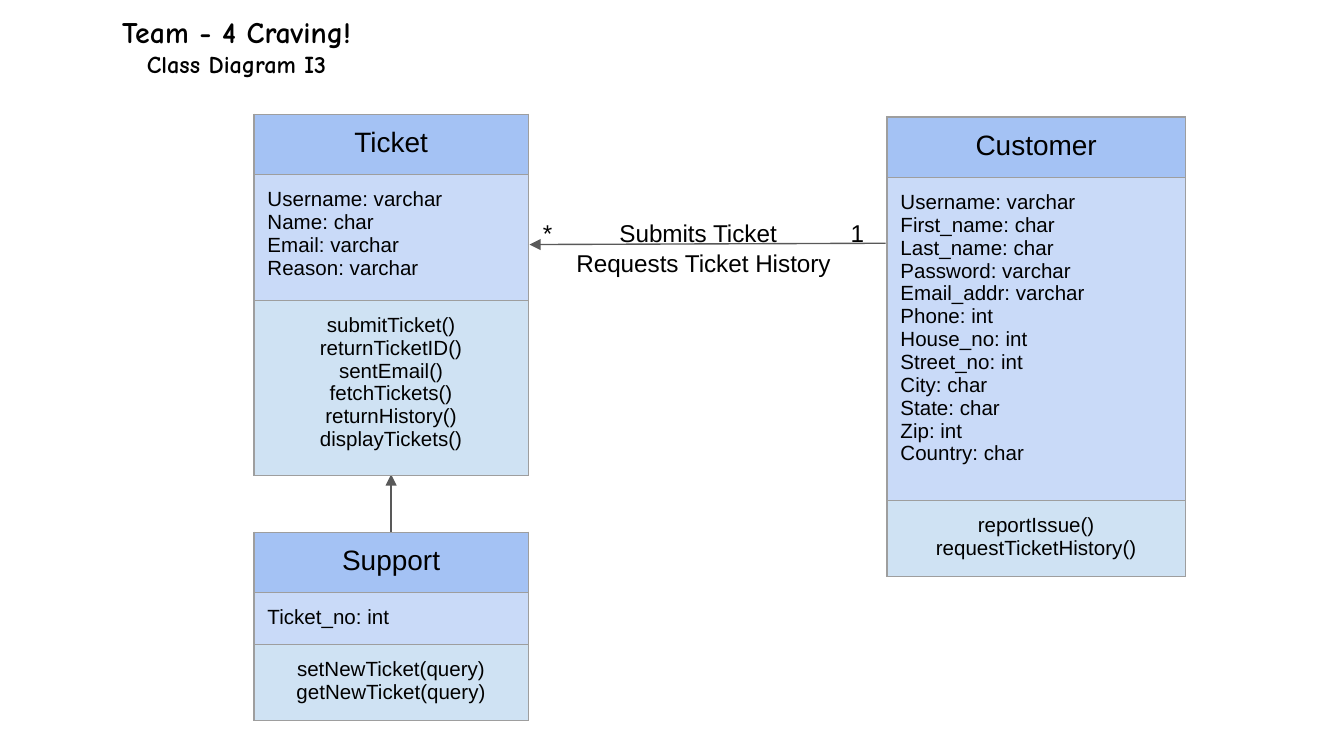
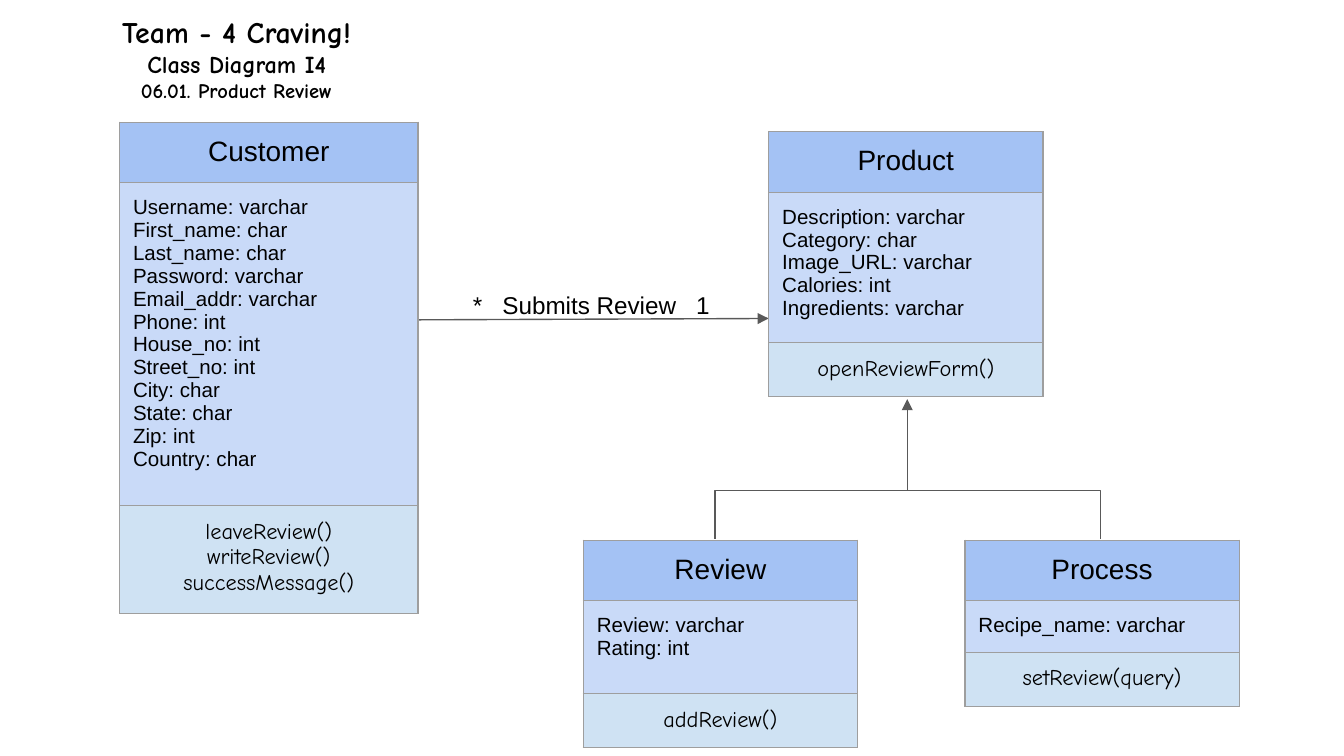
from lxml.etree import SubElement
from pptx import Presentation
from pptx.dml.color import RGBColor
from pptx.enum.shapes import MSO_CONNECTOR
from pptx.enum.text import PP_ALIGN
from pptx.oxml import parse_xml
from pptx.oxml.ns import nsdecls, qn
from pptx.util import Inches, Pt

BLACK = RGBColor(0x00, 0x00, 0x00)
LINE_GREY = RGBColor(0x59, 0x59, 0x59)
BORDER_GREY = RGBColor(0x9E, 0x9E, 0x9E)
HEADER_BLUE = RGBColor(0xA4, 0xC2, 0xF4)
ATTRIBUTE_BLUE = RGBColor(0xC9, 0xDA, 0xF8)
METHOD_BLUE = RGBColor(0xCF, 0xE2, 0xF3)
BODY_FONT, HAND_FONT = "Arial", "Comic Neue"
TITLE_SIZES = (16, 13, 11)
MARGIN = 0.1
NARROW, WIDE = 2.04, 2.22
FRAME_SIDE = 3.28

CUSTOMER_ATTRIBUTES = [
    "Username: varchar", "First_name: char", "Last_name: char",
    "Password: varchar", "Email_addr: varchar", "Phone: int",
    "House_no: int", "Street_no: int", "City: char", "State: char",
    "Zip: int", "Country: char",
]

# Classes: name, attributes, methods, (left, top), width, row heights
# Labels: text, (left, top, width, height), tab stops
# Arrows: start, end (the arrowhead is at the end); branches: start, end
SLIDES = [
    {
        "title": ["Team - 4 Craving!", "Class Diagram I3"],
        "title_height": 0.65,
        "method_style": (BODY_FONT, 11),
        "classes": [
            ("Customer", CUSTOMER_ATTRIBUTES,
             ["reportIssue()", "requestTicketHistory()"],
             (6.6, 0.87), WIDE, (0.38, 1.8, 0.47)),
            ("Ticket",
             ["Username: varchar", "Name: char", "Email: varchar",
              "Reason: varchar"],
             ["submitTicket()", "returnTicketID()", "sentEmail()",
              "fetchTickets()", "returnHistory()", "displayTickets()"],
             (1.89, 0.85), NARROW, (0.23, 0.92, 0.75)),
            ("Support", ["Ticket_no: int"],
             ["setNewTicket(query)", "getNewTicket(query)"],
             (1.89, 3.96), NARROW, (0.38, 0.38, 0.4)),
        ],
        "labels": [
            ("*\tSubmits Ticket\t1", (3.94, 1.52, 2.62, 0.41), (0.57, 2.29)),
            ("\tRequests Ticket History", (3.94, 1.75, 2.66, 0.41), (0.25,)),
        ],
        "arrows": [((2.91, 3.96), (2.91, 3.53)), ((6.59, 1.81), (3.94, 1.82))],
        "branches": [],
    },
    {
        "title": ["Team - 4 Craving!", "Class Diagram I4",
                  "06.01. Product Review"],
        "title_height": 0.86,
        "method_style": (HAND_FONT, 12),
        "classes": [
            ("Review", ["Review: varchar", "Rating: int"], ["addReview()"],
             (4.34, 4.02), NARROW, (0.41, 0.69, 0.11)),
            ("Process", ["Recipe_name: varchar"], ["setReview(query)"],
             (7.18, 4.02), NARROW, (0.38, 0.38, 0.4)),
            ("Customer", CUSTOMER_ATTRIBUTES,
             ["leaveReview()", "writeReview()", "successMessage()"],
             (0.89, 0.91), WIDE, (0.44, 2.34, 0.78)),
            ("Product",
             ["Description: varchar", "Category: char", "Image_URL: varchar",
              "Calories: int", "Ingredients: varchar"],
             ["openReviewForm()"],
             (5.72, 0.98), NARROW, (0.23, 0.92, 0.37)),
        ],
        "labels": [
            ("\t*\tSubmits Review\t1", (3.09, 2.06, 2.62, 0.43),
             (0.33, 0.55, 1.99)),
        ],
        "arrows": [((6.75, 3.65), (6.75, 2.97)), ((3.06, 2.38), (5.72, 2.37))],
        "branches": [((6.76, 3.65), (8.19, 4.01)), ((6.76, 3.65), (5.32, 4.01))],
    },
]


def write_lines(text_frame, lines, font_name, sizes, alignment, bold=False):
    """Write one paragraph for each line."""
    for index, (line, size) in enumerate(zip(lines, sizes)):
        paragraph = (text_frame.add_paragraph() if index
                     else text_frame.paragraphs[0])
        paragraph.text = line
        paragraph.alignment = alignment
        paragraph.font.name = font_name
        paragraph.font.size = Pt(size)
        paragraph.font.bold = bold
        paragraph.font.color.rgb = BLACK


def set_margins(target):
    target.margin_left = target.margin_right = Inches(MARGIN)
    target.margin_top = target.margin_bottom = Inches(MARGIN)


def add_text(slide, box, *text_style, **options):
    text_frame = slide.shapes.add_textbox(*map(Inches, box)).text_frame
    text_frame.word_wrap = True
    set_margins(text_frame)
    write_lines(text_frame, *text_style, **options)
    return text_frame


def add_label(slide, text, box, tab_stops):
    text_frame = add_text(slide, box, [text], BODY_FONT, [13], PP_ALIGN.LEFT)
    properties = text_frame.paragraphs[0]._p.get_or_add_pPr()
    tab_list = parse_xml(f'<a:tabLst {nsdecls("a")}/>')
    for stop in tab_stops:
        SubElement(tab_list, qn("a:tab"), pos=str(Inches(stop)), algn="l")
    # Tab stops come before the default run properties
    properties.insert(0, tab_list)


def add_borders(cell):
    properties = cell._tc.get_or_add_tcPr()
    for index, side in enumerate(("lnL", "lnR", "lnT", "lnB")):
        properties.insert(index, parse_xml(
            f'<a:{side} {nsdecls("a")} w="{Pt(0.75)}"><a:solidFill>'
            f'<a:srgbClr val="{BORDER_GREY}"/></a:solidFill></a:{side}>'))


def add_class(slide, method_style, name, attributes, methods, corner, width,
              heights):
    """Draw a class as a table of name, attributes and methods."""
    method_font, method_size = method_style
    sections = [
        ([name], BODY_FONT, 15, PP_ALIGN.CENTER, HEADER_BLUE),
        (attributes, BODY_FONT, 11, PP_ALIGN.LEFT, ATTRIBUTE_BLUE),
        (methods, method_font, method_size, PP_ALIGN.CENTER, METHOD_BLUE),
    ]
    frame = slide.shapes.add_table(
        len(sections), 1, *map(Inches, (*corner, width, sum(heights))))
    table = frame.table
    table.first_row = table.horz_banding = False
    for row, height, section in zip(table.rows, heights, sections):
        lines, font_name, size, alignment, color = section
        row.height = Inches(height)
        cell = row.cells[0]
        set_margins(cell)
        cell.fill.solid()
        cell.fill.fore_color.rgb = color
        add_borders(cell)
        write_lines(cell.text_frame, lines, font_name, [size] * len(lines),
                    alignment)
    # Every class has the same frame; the rows grow with their text
    frame.width = frame.height = Inches(FRAME_SIDE)


def add_line(slide, kind, start, end):
    connector = slide.shapes.add_connector(kind, *map(Inches, (*start, *end)))
    connector.line.color.rgb = LINE_GREY
    connector.line.width = Pt(0.75)
    SubElement(connector._element.spPr, qn("a:effectLst"))
    return connector


def add_arrow(slide, start, end):
    connector = add_line(slide, MSO_CONNECTOR.STRAIGHT, start, end)
    SubElement(connector.line._get_or_add_ln(), qn("a:tailEnd"),
               type="triangle")


def add_branch(slide, start, end):
    """Run sideways all the way, then down to the end."""
    connector = add_line(slide, MSO_CONNECTOR.ELBOW, start, end)
    adjustments = connector._element.spPr.find(
        qn("a:prstGeom")).get_or_add_avLst()
    SubElement(adjustments, qn("a:gd"), name="adj1", fmla="val 100000")


def add_diagram(presentation, content):
    slide = presentation.slides.add_slide(presentation.slide_layouts[6])
    add_text(slide, (0.25, 0, 3.02, content["title_height"]),
             content["title"], HAND_FONT, TITLE_SIZES, PP_ALIGN.CENTER,
             bold=True)
    # Lines go below the classes, which cover their ends
    for label in content["labels"]:
        add_label(slide, *label)
    for arrow in content["arrows"]:
        add_arrow(slide, *arrow)
    for branch in content["branches"]:
        add_branch(slide, *branch)
    for class_box in content["classes"]:
        add_class(slide, content["method_style"], *class_box)


def main():
    presentation = Presentation()
    presentation.slide_width = Inches(10)
    presentation.slide_height = presentation.slide_width * 9 // 16
    for content in SLIDES:
        add_diagram(presentation, content)
    presentation.save("out.pptx")


if __name__ == "__main__":
    main()
